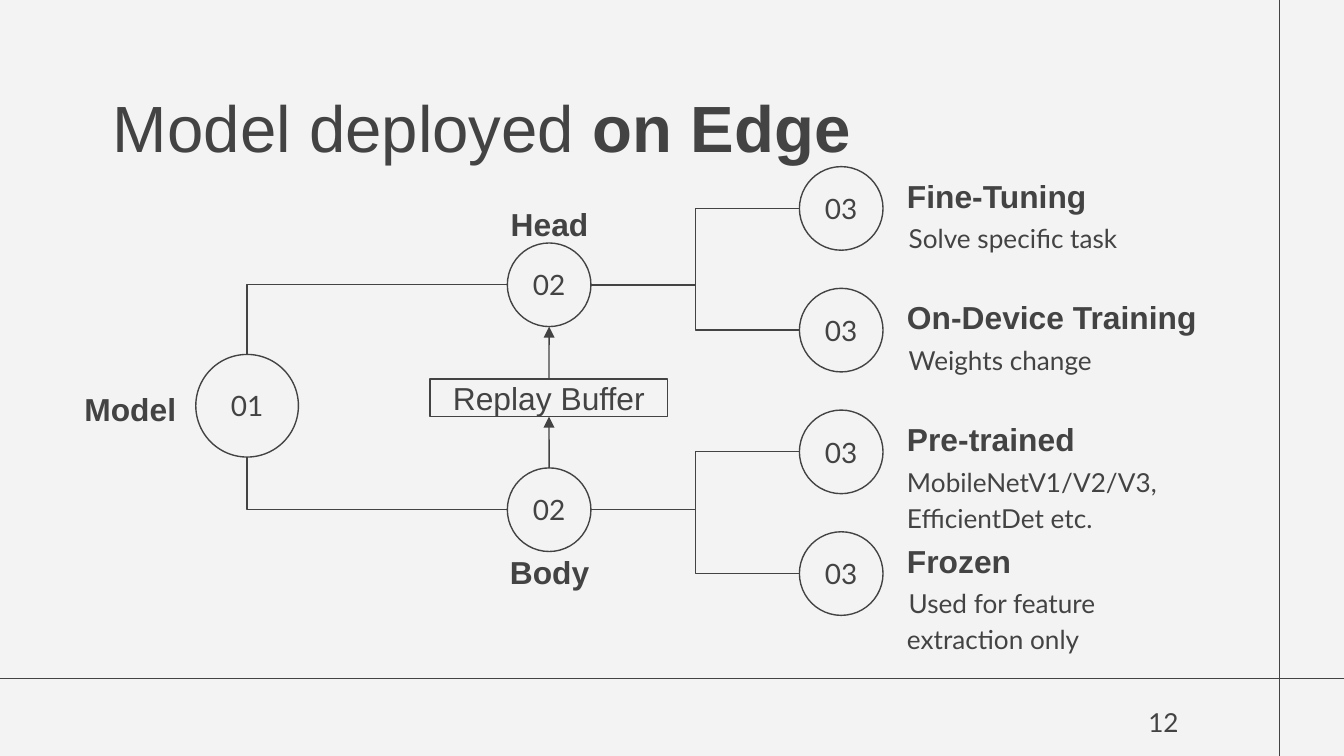
from dataclasses import dataclass

from lxml.etree import SubElement
from pptx import Presentation
from pptx.dml.color import RGBColor
from pptx.enum.shapes import MSO_CONNECTOR as Connector, MSO_SHAPE as Shape
from pptx.enum.text import MSO_ANCHOR as Anchor, MSO_AUTO_SIZE as AutoSize, PP_ALIGN as Align
from pptx.oxml.ns import qn
from pptx.util import Pt

INK = "434343"
ARROW_INK = "424242"
PAPER = "F3F3F3"
HEADING_FONT, BODY_FONT = "Arial", "Lato"
WIDTH, HEIGHT = 720, 405
LINE_WIDTH = 0.75
INSET = 7.2


@dataclass
class Node:
    number: str
    x: float  # centre
    y: float
    size: float = 44.8

    @property
    def radius(self) -> float:
        return self.size / 2


@dataclass
class Leaf:
    heading: str
    detail: str
    first_indent: float = 0.9


@dataclass
class Label:
    text: str
    left: float
    top: float


LEAVES = [
    Leaf("Fine-Tuning", "Solve specific task"),
    Leaf("On-Device Training", "Weights change"),
    Leaf("Pre-trained", "MobileNetV1/V2/V3, EfficientDet etc.", 0),
    Leaf("Frozen", "Used for feature extraction only"),
]
LEAF_X, LEAF_Y, LEAF_PITCH = 450.7, 111.7, 65.2
MODEL = Node("01", 132.4, 217.4, 55)
HEAD = Node("02", 294.2, 152.6)
BODY = Node("02", 294.2, 273.1)
LABELS = [Label("Model", 0, 208.8), Label("Body", 224.6, 295.9), Label("Head", 224.6, 109.4)]


def color(value: str) -> RGBColor:
    return RGBColor.from_string(value)


def prepare_frame(shape, inset: float = INSET, anchor=Anchor.TOP):
    frame = shape.text_frame
    frame.word_wrap = True
    frame.auto_size = AutoSize.NONE
    frame.vertical_anchor = anchor
    frame.margin_left = frame.margin_right = Pt(inset)
    frame.margin_top = frame.margin_bottom = Pt(inset)
    return frame


def add_run(paragraph, text: str, font_name: str, size: float, bold: bool = False) -> None:
    run = paragraph.add_run()
    run.text = text
    run.font.name = font_name
    run.font.size = Pt(size)
    run.font.bold = bold
    run.font.color.rgb = color(INK)


def add_text(slide, box: tuple, text: str, font_name: str, size: float,
             bold: bool = False, align=Align.LEFT, anchor=Anchor.TOP):
    shape = slide.shapes.add_textbox(*map(Pt, box))
    paragraph = prepare_frame(shape, anchor=anchor).paragraphs[0]
    paragraph.alignment = align
    add_run(paragraph, text, font_name, size, bold)
    return paragraph


def add_outline(slide, kind, box: tuple, text: str, font_name: str, size: float, inset: float):
    shape = slide.shapes.add_shape(kind, *map(Pt, box))
    shape.shadow.inherit = False
    shape.fill.background()
    shape.line.color.rgb = color(INK)
    shape.line.width = Pt(LINE_WIDTH)
    paragraph = prepare_frame(shape, inset, Anchor.MIDDLE).paragraphs[0]
    paragraph.alignment = Align.CENTER
    add_run(paragraph, text, font_name, size)
    return shape


def add_node(slide, node: Node) -> None:
    box = (node.x - node.radius, node.y - node.radius, node.size, node.size)
    add_outline(slide, Shape.OVAL, box, node.number, BODY_FONT, 15, 0)


def add_line(slide, start: tuple, end: tuple, kind=Connector.STRAIGHT, ink: str = INK):
    connector = slide.shapes.add_connector(kind, *map(Pt, start + end))
    connector.line.color.rgb = color(ink)
    connector.line.width = Pt(LINE_WIDTH)
    SubElement(connector._element.spPr, qn("a:effectLst"))
    return connector


def add_corner(slide, start: tuple, end: tuple) -> None:
    """One bend: horizontal first, then vertical."""
    connector = add_line(slide, start, end, Connector.ELBOW)
    connector._element.spPr.find(qn("a:prstGeom")).set("prst", "bentConnector2")


def add_arrow(slide, start: tuple, end: tuple):
    connector = add_line(slide, start, end, ink=ARROW_INK)
    SubElement(connector.line._get_or_add_ln(), qn("a:tailEnd"), type="triangle")
    return connector


def main() -> None:
    presentation = Presentation()
    presentation.slide_width, presentation.slide_height = Pt(WIDTH), Pt(HEIGHT)
    slide = presentation.slides.add_slide(presentation.slide_layouts[5])
    slide.background.fill.solid()
    slide.background.fill.fore_color.rgb = color(PAPER)

    # Frame lines
    add_line(slide, (0, 363.6), (WIDTH, 363.6))
    add_line(slide, (685.6, HEIGHT), (685.6, 0))

    # Title and page number
    title = slide.shapes.title
    title.left, title.top, title.width, title.height = map(Pt, (53.3, 39.6, 624.2, 38.2))
    paragraph = prepare_frame(title).paragraphs[0]
    paragraph.alignment = Align.LEFT
    add_run(paragraph, "Model deployed ", HEADING_FONT, 35)
    add_run(paragraph, "on Edge", HEADING_FONT, 35, bold=True)
    add_text(slide, (595.4, 371.5, 43.2, 31), "12", BODY_FONT, 14, align=Align.RIGHT)

    # Model to head and body
    for node, side in ((HEAD, -1), (BODY, 1)):
        add_corner(slide, (node.x - node.radius, node.y), (MODEL.x, MODEL.y + side * MODEL.radius))

    # Leaves: branch, circle, heading and detail
    for index, leaf in enumerate(LEAVES):
        parent = HEAD if index < 2 else BODY
        node = Node("03", LEAF_X, LEAF_Y + index * LEAF_PITCH)
        add_line(slide, (parent.x + parent.radius, parent.y),
                 (node.x - node.radius, node.y), Connector.ELBOW)
        add_node(slide, node)
        add_text(slide, (478.8, node.y - 17.4, 179.3, 20.9), leaf.heading,
                 HEADING_FONT, 17, bold=True, anchor=Anchor.MIDDLE)
        detail = add_text(slide, (478.8, node.y - 2.2, 179.3, 49), leaf.detail, BODY_FONT, 14)
        detail.line_spacing = 1.15
        detail._p.get_or_add_pPr().set("indent", str(Pt(leaf.first_indent)))

    # Main nodes and their labels
    for node in (MODEL, HEAD, BODY):
        add_node(slide, node)
    for label in LABELS:
        add_text(slide, (label.left, label.top, 139.7, 20.9), label.text, HEADING_FONT, 17,
                 bold=True, align=Align.CENTER, anchor=Anchor.MIDDLE)

    # Replay buffer between body and head
    left, top, width, height = box = (230.4, 203, 127.4, 20.2)
    middle = left + width / 2
    replay = add_outline(slide, Shape.RECTANGLE, box, "Replay Buffer", HEADING_FONT, 17, INSET)
    rising = add_arrow(slide, (BODY.x, BODY.y - BODY.radius), (middle, top + height))
    rising.end_connect(replay, 2)
    leaving = add_arrow(slide, (middle, top), (HEAD.x, HEAD.y + HEAD.radius))
    leaving.begin_connect(replay, 0)

    presentation.save("out.pptx")


if __name__ == "__main__":
    main()
